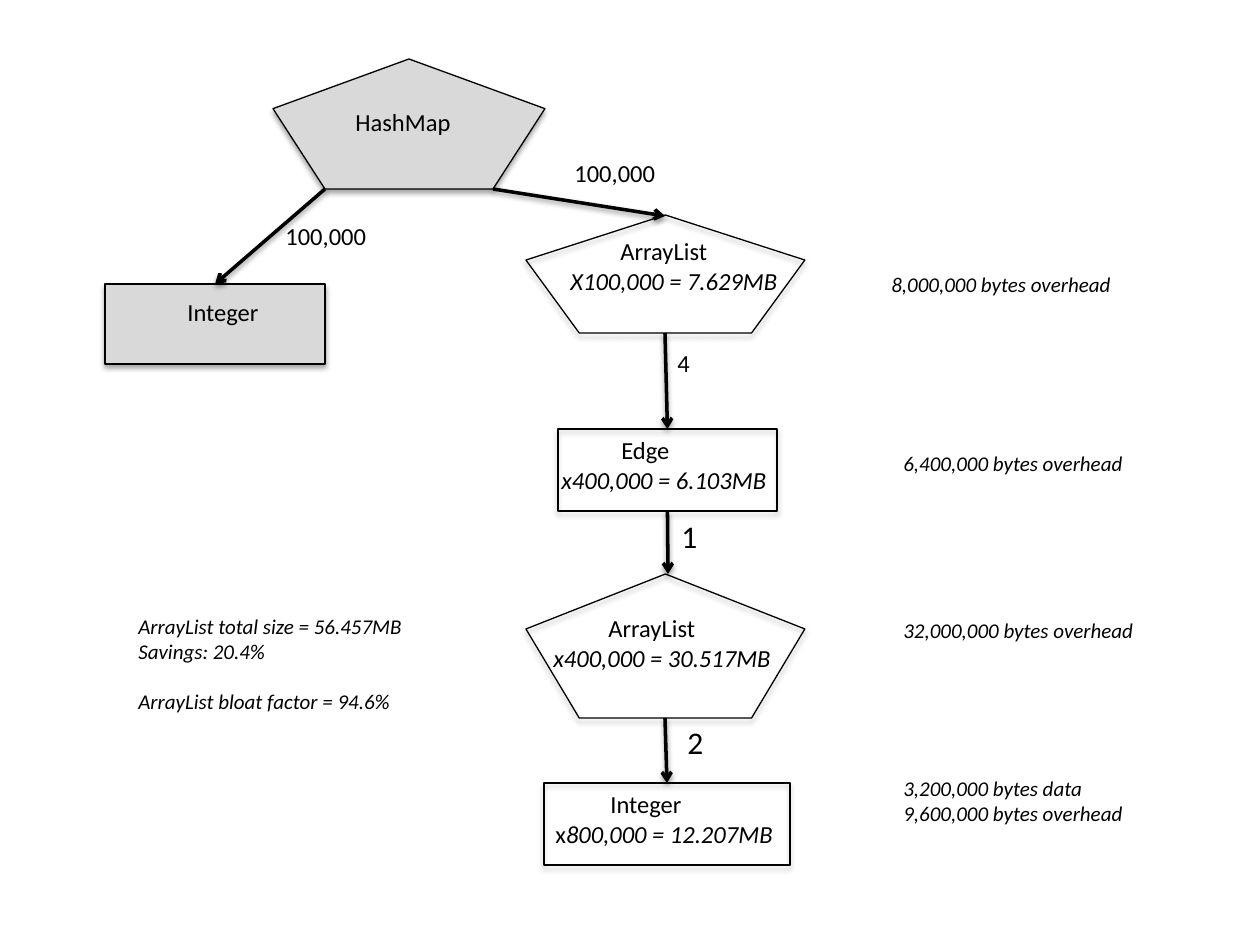
from lxml import etree
from pptx import Presentation
from pptx import util as u
from pptx.dml.color import RGBColor
from pptx.enum import shapes, text
from pptx.oxml import ns

SCALE = 914400 / 126
RECT = shapes.MSO_SHAPE.RECTANGLE
PENT = shapes.MSO_SHAPE.REGULAR_PENTAGON


def px(n):
    return u.Emu(round(n * SCALE))


def color(code):
    return RGBColor.from_string(code)


def place(org, box):
    x, y, w, h = box
    return [px(n) for n in (org[0] + x, org[1] + y, w, h)]


def shade(props, dist, alpha):
    old = props.find(ns.qn("a:effectLst"))
    if old is not None:
        props.remove(old)
    fx = etree.SubElement(props, ns.qn("a:effectLst"))
    drop = etree.SubElement(fx, ns.qn("a:outerShdw"), blurRad=str(u.Pt(3.1)),
                            dist=str(u.Pt(dist)), dir="5400000", rotWithShape="0")
    tone = etree.SubElement(drop, ns.qn("a:srgbClr"), val="000000")
    etree.SubElement(tone, ns.qn("a:alpha"), val=str(alpha * 1000))


def say(slide, org, box, words, size=14, indents=(), gaps=()):
    frame = slide.shapes.add_textbox(*place(org, box)).text_frame
    frame.word_wrap = False
    frame.auto_size = text.MSO_AUTO_SIZE.SHAPE_TO_FIT_TEXT
    for i, line in enumerate(words.split("\n")):
        para = frame.paragraphs[0] if i == 0 else frame.add_paragraph()
        if i < len(indents):
            para._p.get_or_add_pPr().set("marL", str(px(indents[i])))
        if i < len(gaps):
            para.space_before = u.Pt(gaps[i])
        for j, part in enumerate(line.split("_")):
            if part:
                run = para.add_run()
                run.text = part
                run.font.name = "Calibri"
                run.font.size = u.Pt(size)
                run.font.italic = j == 1
                run.font.color.rgb = color("000000")


def node(slide, org, kind, box, fill=None):
    shape = slide.shapes.add_shape(kind, *place(org, box))
    shape.shadow.inherit = False
    if fill:
        shape.fill.solid()
        shape.fill.fore_color.rgb = color(fill)
    else:
        shape.fill.background()
    shape.line.color.rgb = color("000000")
    shape.line.width = u.Pt(0.75)
    shade(shape._element.spPr, 1.8, 35)
    return shape


def arrow(slide, org, start, end, tail=None, head=None):
    ends = [px(org[k] + p[k]) for p in (start, end) for k in (0, 1)]
    line = slide.shapes.add_connector(shapes.MSO_CONNECTOR.STRAIGHT, *ends)
    if tail:
        line.begin_connect(tail, 2)
    if head:
        line.end_connect(head, 0)
    line.line.color.rgb = color("000000")
    line.line.width = u.Pt(2)
    etree.SubElement(line.line._get_or_add_ln(), ns.qn("a:tailEnd"), type="arrow")
    shade(line._element.spPr, 1.6, 38)


def draw_root(slide, org):
    node(slide, org, PENT, (168, 0, 272, 130), "D9D9D9")
    key = node(slide, org, RECT, (0, 225, 220, 80), "D9D9D9")
    arrow(slide, org, (220, 130), (110, 225), head=key)
    arrow(slide, org, (388, 130), (560, 157))
    say(slide, org, (238, 42, 126, 43), "HashMap")
    say(slide, org, (70, 232, 98, 43), "Integer")
    for x, y in ((168, 156), (457, 93)):
        say(slide, org, (x, y, 107, 43), "100,000")


def draw_chain(slide, org):
    node(slide, org, PENT, (0, 0, 279, 118))
    edge = node(slide, org, RECT, (32, 214, 219, 82))
    node(slide, org, PENT, (0, 359, 279, 144))
    leaf = node(slide, org, RECT, (18, 568, 246, 82))
    arrow(slide, org, (139, 118), (142, 214), head=edge)
    arrow(slide, org, (142, 296), (142, 359), tail=edge)
    arrow(slide, org, (139, 503), (141, 568), head=leaf)
    for x, y, w, words, indents in (
        (32, 15, 241, "ArrayList\n_X100,000 = 7.629MB", (50, 0)),
        (23, 214, 238, "Edge\n_x400,000 = 6.103MB", (60, 0)),
        (15, 392, 251, "ArrayList\n_x400,000 = 30.517MB", (55, 0)),
        (12, 568, 255, "Integer\nx_800,000 = 12.207MB", (60, 5)),
    ):
        say(slide, org, (x, y, w, 72), words, indents=indents)
    say(slide, org, (139, 127, 38, 43), "4")
    say(slide, org, (143, 296, 42, 50), "1", size=18)
    say(slide, org, (149, 502, 42, 50), "2", size=18)


def draw_costs(slide, org):
    for x, y, w, h, words in (
        (0, 0, 252, 38, "_8,000,000 bytes overhead"),
        (12, 179, 252, 38, "_6,400,000 bytes overhead"),
        (12, 346, 262, 38, "_32,000,000 bytes overhead"),
        (12, 504, 252, 63, "_3,200,000 bytes data\n_9,600,000 bytes overhead"),
    ):
        say(slide, org, (x, y, w, h), words, size=12)


def draw_total(slide, org):
    words = ("_ArrayList total size = 56.457MB\n_Savings: 20.4%\n"
             "_ArrayList bloat factor = 94.6%")
    say(slide, org, (0, 0, 296, 115), words, size=12, gaps=(0, 0, 14.5))


def main():
    deck = Presentation()
    deck.slide_width, deck.slide_height = px(1260), px(945)
    slide = deck.slides.add_slide(deck.slide_layouts[6])
    draw_root(slide, (105, 59))
    draw_chain(slide, (526, 215))
    draw_costs(slide, (879, 265))
    draw_total(slide, (126, 607))
    deck.save("out.pptx")


if __name__ == "__main__":
    main()
